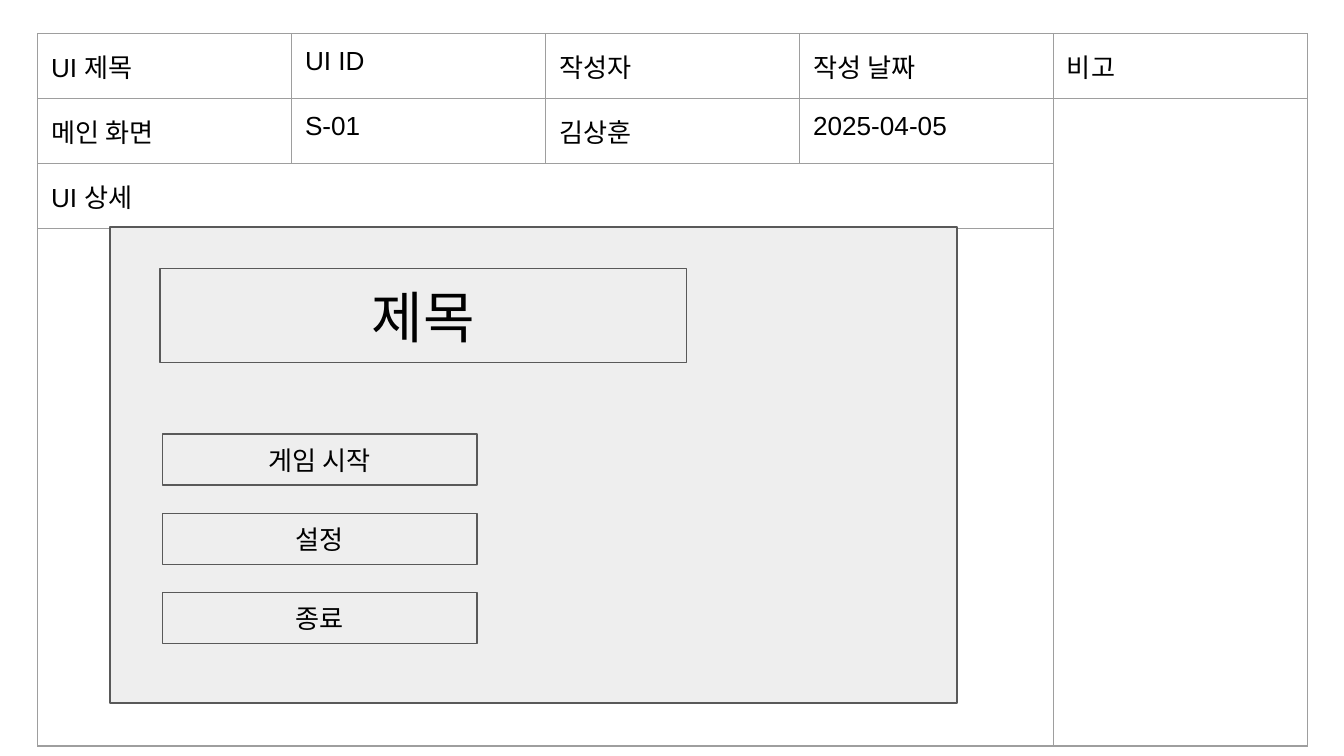
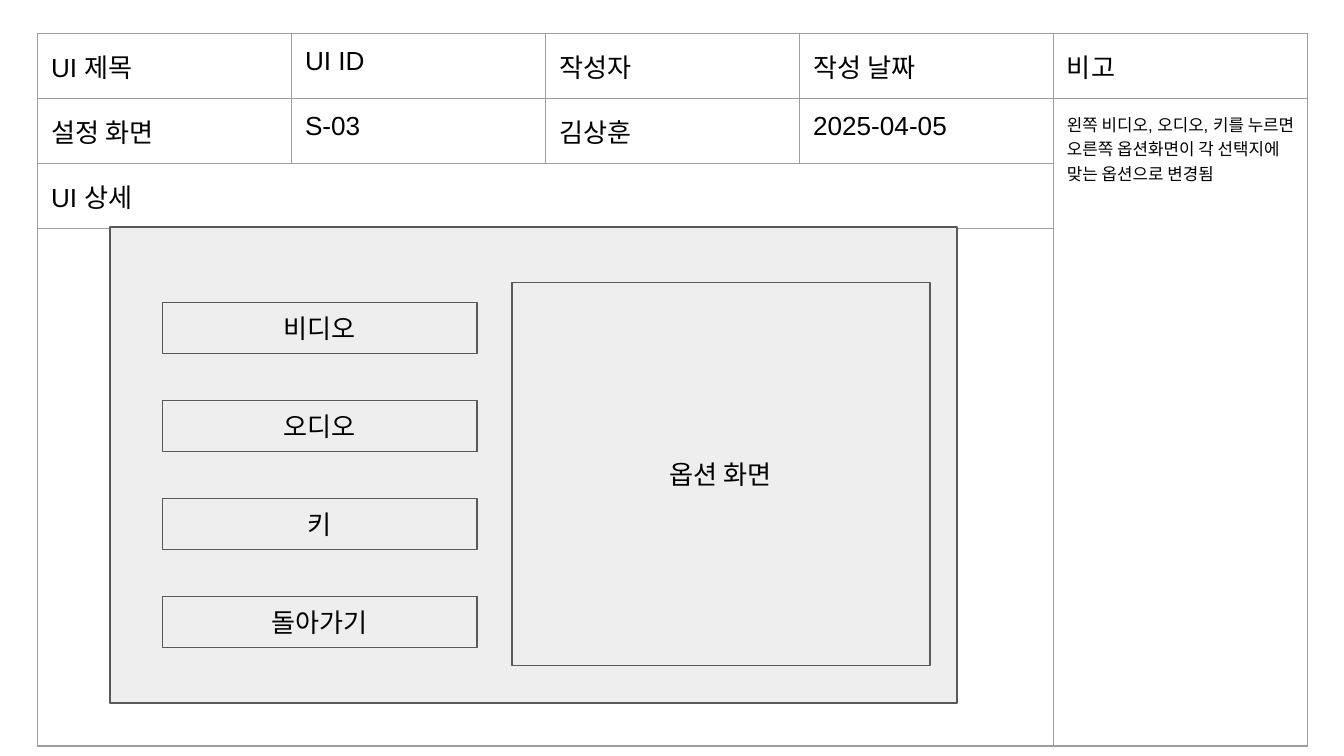
from lxml import etree
from pptx import Presentation
from pptx.dml.color import RGBColor
from pptx.enum.shapes import MSO_SHAPE
from pptx.enum.text import MSO_ANCHOR, PP_ALIGN
from pptx.oxml.ns import qn
from pptx.util import Inches, Pt

BLACK = RGBColor(0x00, 0x00, 0x00)
PANEL = RGBColor(0xEE, 0xEE, 0xEE)
EDGE = RGBColor(0x59, 0x59, 0x59)
RULE = RGBColor(0x9E, 0x9E, 0x9E)
FONT = "Arial"
RECT = MSO_SHAPE.RECTANGLE
MIDDLE = MSO_ANCHOR.MIDDLE
CENTER = PP_ALIGN.CENTER

PAD = Inches(0.1)
COL_W = 1.89
ROW_H = 0.42
BODY_H = 3.85
TABLE = (0.28, 0.25)
SCREEN = (0.82, 1.69, 6.3, 3.54)
BUTTON_W, BUTTON_H = 2.34, 0.38
HEADS = ["UI 제목", "UI ID", "작성자", "작성 날짜", "비고"]


def style(para, size):
    for run in para.runs:
        run.font.size = Pt(size)
        run.font.name = FONT
        run.font.color.rgb = BLACK


def rule_cell(cell):
    """Draw all four borders of a cell and clear its fill."""
    props = cell._tc.get_or_add_tcPr()
    for side in ("lnL", "lnR", "lnT", "lnB"):
        line = etree.SubElement(props, qn(f"a:{side}"), w=str(Pt(0.75)))
        fill = etree.SubElement(line, qn("a:solidFill"))
        etree.SubElement(fill, qn("a:srgbClr"), val=str(RULE))
    cell.fill.background()
    cell.margin_left = cell.margin_right = PAD
    cell.margin_top = cell.margin_bottom = PAD


def write(cell, text, size=14):
    para = cell.text_frame.paragraphs[0]
    para.text = text
    style(para, size)


def add_sheet(slide, values, note="", parts=1):
    """Add the form table; parts is the number of rows its body spans."""
    left, top = TABLE
    heights = [ROW_H] * 3 + [BODY_H / parts] * parts
    frame = slide.shapes.add_table(
        len(heights), len(HEADS), Inches(left), Inches(top),
        Inches(COL_W * len(HEADS)), Inches(sum(heights)))
    table = frame.table
    table.first_row = table.horz_banding = False
    for col in table.columns:
        col.width = Inches(COL_W)
    for row, height in zip(table.rows, heights):
        row.height = Inches(height)
    for cell in table.iter_cells():
        rule_cell(cell)

    last = len(heights) - 1
    table.cell(1, 4).merge(table.cell(last, 4))
    table.cell(2, 0).merge(table.cell(2, 3))
    table.cell(3, 0).merge(table.cell(last, 3))
    for row, texts in enumerate((HEADS, values)):
        for col, text in enumerate(texts):
            write(table.cell(row, col), text)
    write(table.cell(2, 0), "UI 상세")
    if note:
        write(table.cell(1, 4), note, 9)


def add_box(slide, box, text="", size=14):
    shape = slide.shapes.add_shape(RECT, *map(Inches, box))
    shape.shadow.inherit = False
    shape.fill.solid()
    shape.fill.fore_color.rgb = PANEL
    shape.line.color.rgb = EDGE
    shape.line.width = Pt(0.75)
    if text:
        frame = shape.text_frame
        frame.word_wrap = True
        frame.vertical_anchor = MIDDLE
        frame.margin_left = frame.margin_right = PAD
        frame.margin_top = frame.margin_bottom = PAD
        para = frame.paragraphs[0]
        para.text = text
        para.alignment = CENTER
        style(para, size)


def add_menu(slide, box, labels, top, step):
    """Stack equal buttons down the left side of the screen box."""
    for i, label in enumerate(labels):
        add_box(slide, (box[0] + 0.39, box[1] + top + i * step,
                        BUTTON_W, BUTTON_H), label)


def main_screen(slide, box):
    left, top = box[:2]
    add_box(slide, box)
    add_menu(slide, box, ["게임 시작", "설정", "종료"], 1.54, 0.59)
    add_box(slide, (left + 0.37, top + 0.31, 3.92, 0.7), "제목", 30)


def option_screen(slide, box):
    left, top = box[:2]
    add_box(slide, box)
    add_menu(slide, box, ["비디오", "오디오", "키", "돌아가기"], 0.56, 0.73)
    add_box(slide, (left + 2.99, top + 0.41, 3.11, 2.85), "옵션 화면")


def main():
    deck = Presentation()
    deck.slide_width = Inches(10)
    deck.slide_height = deck.slide_width * 9 // 16
    blank = deck.slide_layouts[6]

    slide = deck.slides.add_slide(blank)
    add_sheet(slide, ["메인 화면", "S-01", "김상훈", "2025-04-05"], parts=2)
    main_screen(slide, SCREEN)

    slide = deck.slides.add_slide(blank)
    add_sheet(slide, ["설정 화면", "S-03", "김상훈", "2025-04-05"],
              "왼쪽 비디오, 오디오, 키를 누르면 오른쪽 옵션화면이 각 "
              "선택지에 맞는 옵션으로 변경됨")
    option_screen(slide, SCREEN)

    deck.save("out.pptx")


if __name__ == "__main__":
    main()
